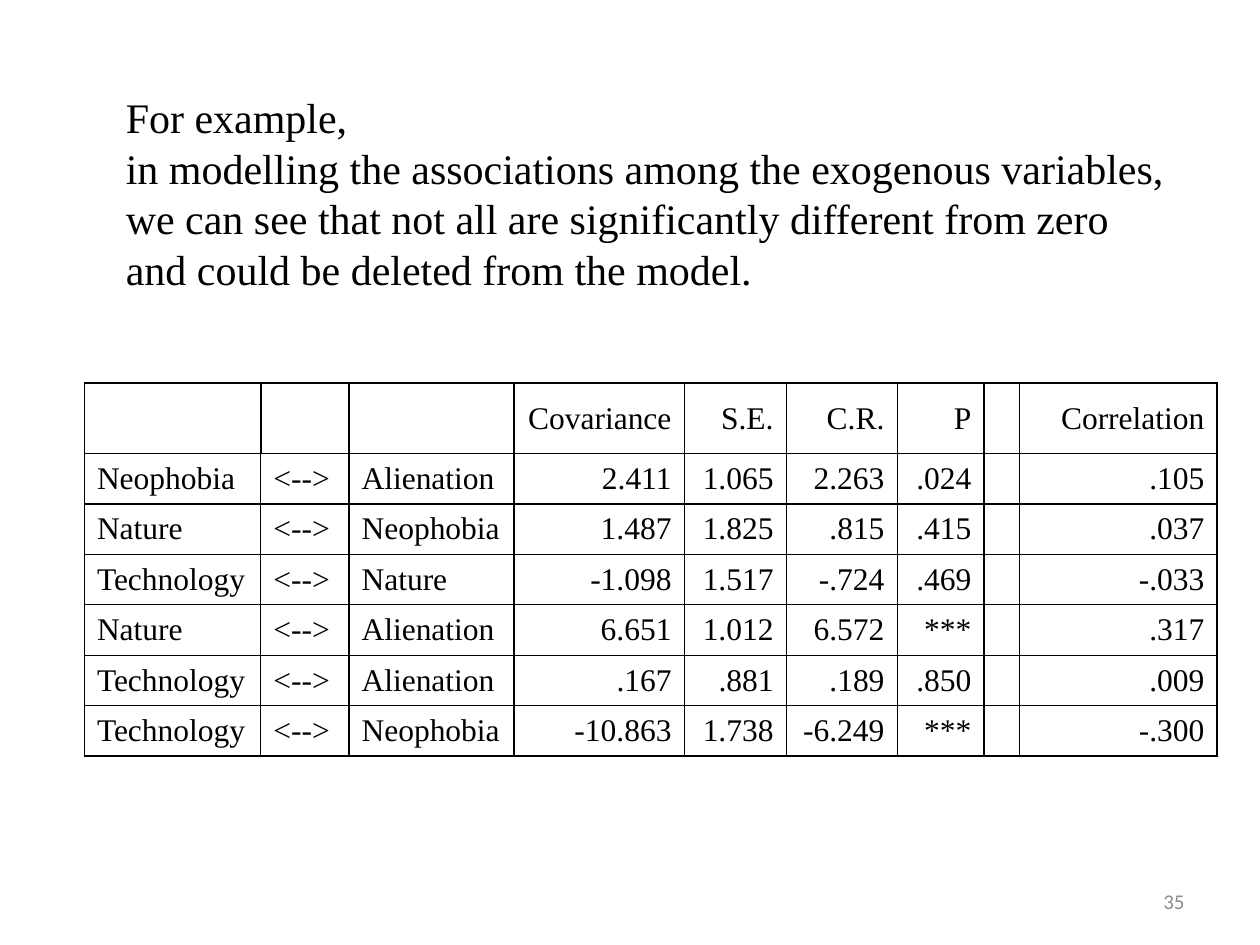
from lxml import etree
from pptx import Presentation
from pptx.dml.color import RGBColor
from pptx.enum.text import MSO_ANCHOR, MSO_AUTO_SIZE, PP_ALIGN
from pptx.oxml.ns import qn
from pptx.util import Inches, Pt

LEFT, RIGHT = PP_ALIGN.LEFT, PP_ALIGN.RIGHT
TOP, MIDDLE = MSO_ANCHOR.TOP, MSO_ANCHOR.MIDDLE
FIT_SHAPE = MSO_AUTO_SIZE.SHAPE_TO_FIT_TEXT

# Content
INTRODUCTION = [
    "For example,",
    "in modelling the associations among the exogenous variables,",
    "we can see that not all are significantly different from zero",
    "and could be deleted from the model.",
]
HEADER = ["", "", "", "Covariance", "S.E.", "C.R.", "P", "", "Correlation"]
ESTIMATES = [
    ("Neophobia", "Alienation", "2.411", "1.065", "2.263", ".024", ".105"),
    ("Nature", "Neophobia", "1.487", "1.825", ".815", ".415", ".037"),
    ("Technology", "Nature", "-1.098", "1.517", "-.724", ".469", "-.033"),
    ("Nature", "Alienation", "6.651", "1.012", "6.572", "***", ".317"),
    ("Technology", "Alienation", ".167", ".881", ".189", ".850", ".009"),
    ("Technology", "Neophobia", "-10.863", "1.738", "-6.249", "***", "-.300"),
]
PAGE_NUMBER = "35"

THEME = {
    "serif": "Times New Roman", "sans": "Calibri",
    "ink": "000000", "muted": "8C8C8C",
    "body": 24, "table": 18, "footer": 12,
    "thick": 1, "thin": 0.75,
}

# Layout
COLUMN_WIDTHS = [1.4, 0.7, 1.31, 1.35, 0.81, 0.88, 0.69, 0.28, 1.57]
HEADER_HEIGHT, ROW_HEIGHT = 0.56, 0.4
NAME_COLUMNS = 3
HANGING_INDENT = 0.38
THICK_ROW_EDGES = {0, 1, len(ESTIMATES) + 1}
THICK_COLUMN_EDGES = {0, NAME_COLUMNS, len(COLUMN_WIDTHS)}
THICK_HEADER_EDGES = THICK_COLUMN_EDGES | {1, 2, 8}


def write_text(frame, lines, *, size, font=THEME["serif"], color=THEME["ink"],
               align=LEFT, hanging=0):
    for index, line in enumerate(lines):
        paragraph = frame.add_paragraph() if index else frame.paragraphs[0]
        paragraph.alignment = align
        if hanging:
            properties = paragraph._p.get_or_add_pPr()
            properties.set("marL", str(Inches(hanging)))
            properties.set("indent", str(-Inches(hanging)))
        run = paragraph.add_run()
        run.text = line
        run.font.size = Pt(size)
        run.font.name = font
        run.font.color.rgb = RGBColor.from_string(color)


def add_text_box(slide, lines, box, *, anchor=TOP, wrap=True, auto_size=None, **style):
    frame = slide.shapes.add_textbox(*map(Inches, box)).text_frame
    frame.word_wrap = wrap
    frame.vertical_anchor = anchor
    if auto_size is not None:
        frame.auto_size = auto_size
    write_text(frame, lines, **style)


def set_borders(cell, row, column):
    thick_columns = THICK_COLUMN_EDGES if row else THICK_HEADER_EDGES
    edges = {
        "a:lnL": column in thick_columns,
        "a:lnR": column + 1 in thick_columns,
        "a:lnT": row in THICK_ROW_EDGES,
        "a:lnB": row + 1 in THICK_ROW_EDGES,
    }
    properties = cell._tc.get_or_add_tcPr()
    for tag, is_thick in edges.items():
        width = Pt(THEME["thick" if is_thick else "thin"])
        line = etree.SubElement(properties, qn(tag), w=str(width))
        fill = etree.SubElement(line, qn("a:solidFill"))
        etree.SubElement(fill, qn("a:srgbClr"), val=THEME["ink"])


def add_estimates_table(slide, left, top):
    rows = [HEADER]
    for first, second, *values, correlation in ESTIMATES:
        rows.append([first, "<-->", second, *values, "", correlation])
    heights = [HEADER_HEIGHT] + [ROW_HEIGHT] * len(ESTIMATES)
    table = slide.shapes.add_table(
        len(rows), len(COLUMN_WIDTHS), Inches(left), Inches(top),
        Inches(sum(COLUMN_WIDTHS)), Inches(sum(heights))).table
    table.first_row = table.horz_banding = False
    for column, width in zip(table.columns, COLUMN_WIDTHS):
        column.width = Inches(width)
    for row, height in zip(table.rows, heights):
        row.height = Inches(height)

    for row_index, values in enumerate(rows):
        for column_index, value in enumerate(values):
            cell = table.cell(row_index, column_index)
            set_borders(cell, row_index, column_index)
            cell.fill.background()
            cell.vertical_anchor = MIDDLE
            if value:
                align = LEFT if column_index < NAME_COLUMNS else RIGHT
                write_text(cell.text_frame, [value], size=THEME["table"],
                           align=align, hanging=HANGING_INDENT)
            else:
                # Keep empty cells from stretching the row
                cell.margin_top = cell.margin_bottom = 0


def main():
    presentation = Presentation()
    presentation.slide_width, presentation.slide_height = Inches(10), Inches(7.5)
    slide = presentation.slides.add_slide(presentation.slide_layouts[6])

    # Covariance and correlation estimates
    add_estimates_table(slide, 0.67, 3.04)

    # Introduction
    add_text_box(slide, INTRODUCTION, (0.9, 0.68, 8.51, 1.72), wrap=False,
                 auto_size=FIT_SHAPE, size=THEME["body"])

    # Page number
    add_text_box(slide, [PAGE_NUMBER], (7.17, 6.95, 2.33, 0.4), anchor=MIDDLE,
                 size=THEME["footer"], font=THEME["sans"], color=THEME["muted"],
                 align=RIGHT)

    presentation.save("out.pptx")


if __name__ == "__main__":
    main()
